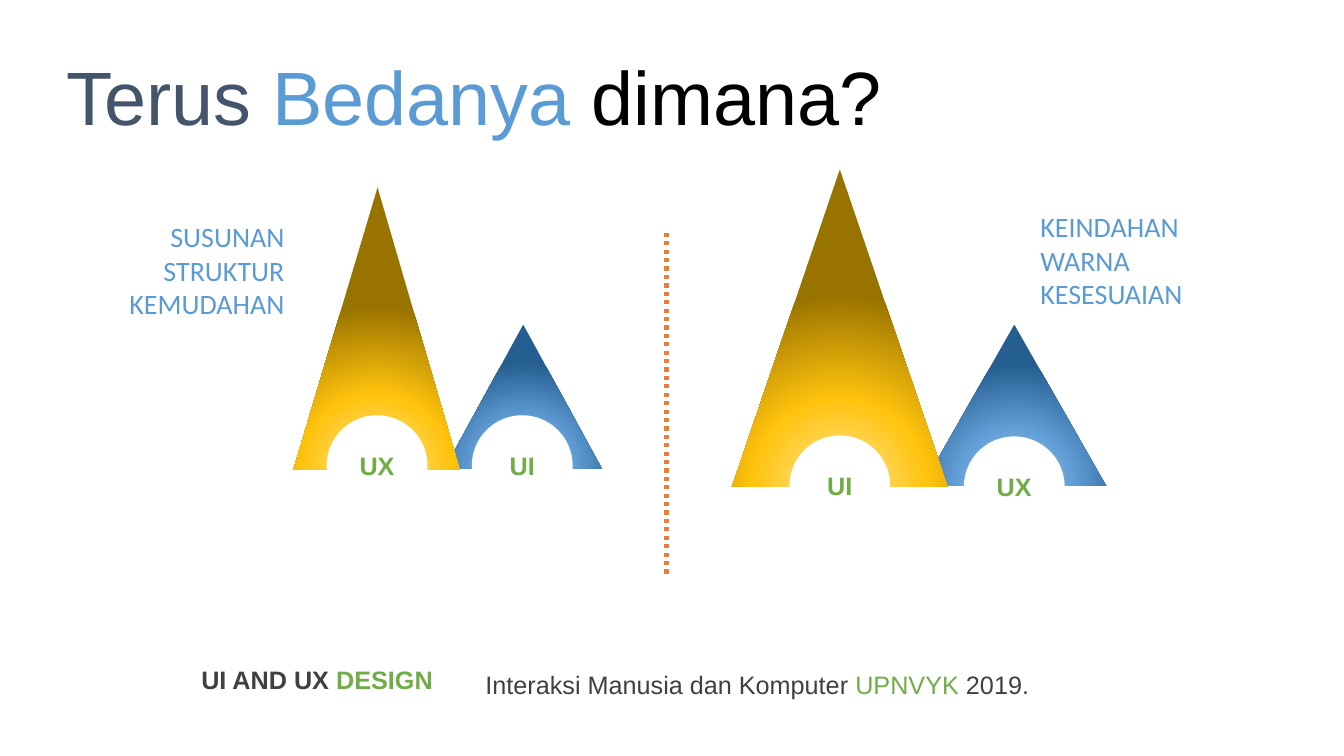
from pptx import Presentation
from pptx import util as u
from pptx.dml.color import RGBColor
from pptx.enum import dml, shapes, text
from pptx.oxml import parse_xml
from pptx.oxml.ns import nsdecls, qn

# Content
GREEN, BLUE, GREY, WHITE = "70AD47", "5B9BD5", "404040", "FFFFFF"
GOLD_STOPS = [(0, "FFE699"), (46, "FFC30D"), (100, "997300")]
BLUE_STOPS = [(0, "BDD7EE"), (46, "63A0D7"), (100, "255E91")]
DISC = 1

# Each mountain: label, triangle (left, top, width, height), peak, stops, disc (left, top)
RANGES = [
    [("UI", (4.41, 3.22, 1.56, 1.43), 0.5, BLUE_STOPS, (4.68, 4.12)),
     ("UX", (2.91, 1.86, 1.65, 2.8), 0.506, GOLD_STOPS, (3.24, 4.12))],
    [("UX", (9.15, 3.22, 1.82, 1.6), 0.5, BLUE_STOPS, (9.56, 4.33)),
     ("UI", (7.26, 1.68, 2.14, 3.15), 0.5, GOLD_STOPS, (7.83, 4.32))],
]

# Each text: place, paragraphs of (words, colour), font, alignment, wrap, anchor, spacing
LEFT, CENTER, RIGHT = text.PP_ALIGN.LEFT, text.PP_ALIGN.CENTER, text.PP_ALIGN.RIGHT
TOP, MIDDLE = text.MSO_ANCHOR.TOP, text.MSO_ANCHOR.MIDDLE
ARIAL = {"name": "Arial", "size": u.Pt(18)}
ARIAL_BOLD = {**ARIAL, "bold": True}
TITLE = {"name": "Arial", "size": u.Pt(54)}
CALIBRI = {"name": "Calibri", "size": u.Pt(20)}
TEXTS = [
    ((1.88, 6.54, 2.53, 0.4), [[("UI AND UX ", GREY), ("DESIGN", GREEN)]],
     ARIAL_BOLD, CENTER, False, TOP, 1),
    ((4.69, 6.44, 5.71, 0.56),
     [[("Interaksi Manusia dan Komputer ", GREY), ("UPNVYK ", GREEN), ("2019. ", GREY)]],
     ARIAL, CENTER, False, TOP, 1.5),
    ((0.63, 2.13, 2.29, 1.11), [[("SUSUNAN STRUKTUR KEMUDAHAN", BLUE)]],
     CALIBRI, RIGHT, True, TOP, 1),
    ((10.22, 2.03, 2.29, 1.11), [[("KEINDAHAN WARNA", BLUE)], [("KESESUAIAN", BLUE)]],
     CALIBRI, LEFT, True, TOP, 1),
    ((0.56, 0.51, 12.34, 0.87),
     [[("Terus ", "44546A"), ("Bedanya ", BLUE), ("dimana?", "000000")]],
     TITLE, LEFT, True, MIDDLE, 1),
]


def paint(target, colour):
    """Give a fill or a line a solid colour."""
    target.solid()
    target.fore_color.rgb = RGBColor.from_string(colour)


def inches(*values):
    return [u.Inches(value) for value in values]


def write(box, paragraphs, font, align, wrap=True, anchor=MIDDLE, spacing=1):
    frame = box.text_frame
    frame.word_wrap = wrap
    frame.vertical_anchor = anchor
    for number, spans in enumerate(paragraphs):
        para = frame.paragraphs[0] if number == 0 else frame.add_paragraph()
        para.alignment = align
        para.line_spacing = spacing
        for words, colour in spans:
            span = para.add_run()
            span.text = words
            for key, value in font.items():
                setattr(span.font, key, value)
            paint(span.font.fill, colour)


def glow(shape, stops):
    """Fill with a circular gradient centred below the shape."""
    marks = "".join(f'<a:gs pos="{at * 1000}"><a:srgbClr val="{colour}"/></a:gs>'
                    for at, colour in stops)
    shape.fill.background()
    properties = shape._element.spPr
    properties.replace(properties.find(qn("a:noFill")), parse_xml(
        f'<a:gradFill {nsdecls("a")} rotWithShape="1"><a:gsLst>{marks}</a:gsLst>'
        '<a:path path="circle"><a:fillToRect l="50000" t="130000" r="50000" b="-30000"/>'
        '</a:path></a:gradFill>'))


def add_plain(group, kind, place):
    shape = group.shapes.add_shape(kind, *inches(*place))
    shape.shadow.inherit = False
    shape.line.fill.background()
    return shape


deck = Presentation()
deck.slide_width, deck.slide_height = inches(13.33, 7.5)
page = deck.slides.add_slide(deck.slide_layouts[6])

# Mountains with labelled discs
for mountains in RANGES:
    group = page.shapes.add_group_shape()
    for label, place, peak, stops, corner in mountains:
        triangle = add_plain(group, shapes.MSO_SHAPE.ISOSCELES_TRIANGLE, place)
        triangle.adjustments[0] = peak
        glow(triangle, stops)
        disc = add_plain(group, shapes.MSO_SHAPE.OVAL, (*corner, DISC, DISC))
        paint(disc.fill, WHITE)
        write(disc, [[(label, GREEN)]], ARIAL_BOLD, CENTER)

# Dotted divider
divider = page.shapes.add_connector(shapes.MSO_CONNECTOR.STRAIGHT, *inches(6.61, 2.31, 6.61, 5.71))
paint(divider.line.fill, "ED7D31")
divider.line.width = u.Pt(3)
divider.line.dash_style = dml.MSO_LINE.ROUND_DOT
divider._element.spPr.append(parse_xml(f'<a:effectLst {nsdecls("a")}/>'))

# Title, side notes and footer
for place, *words in TEXTS:
    write(page.shapes.add_textbox(*inches(*place)), *words)

deck.save("out.pptx")
